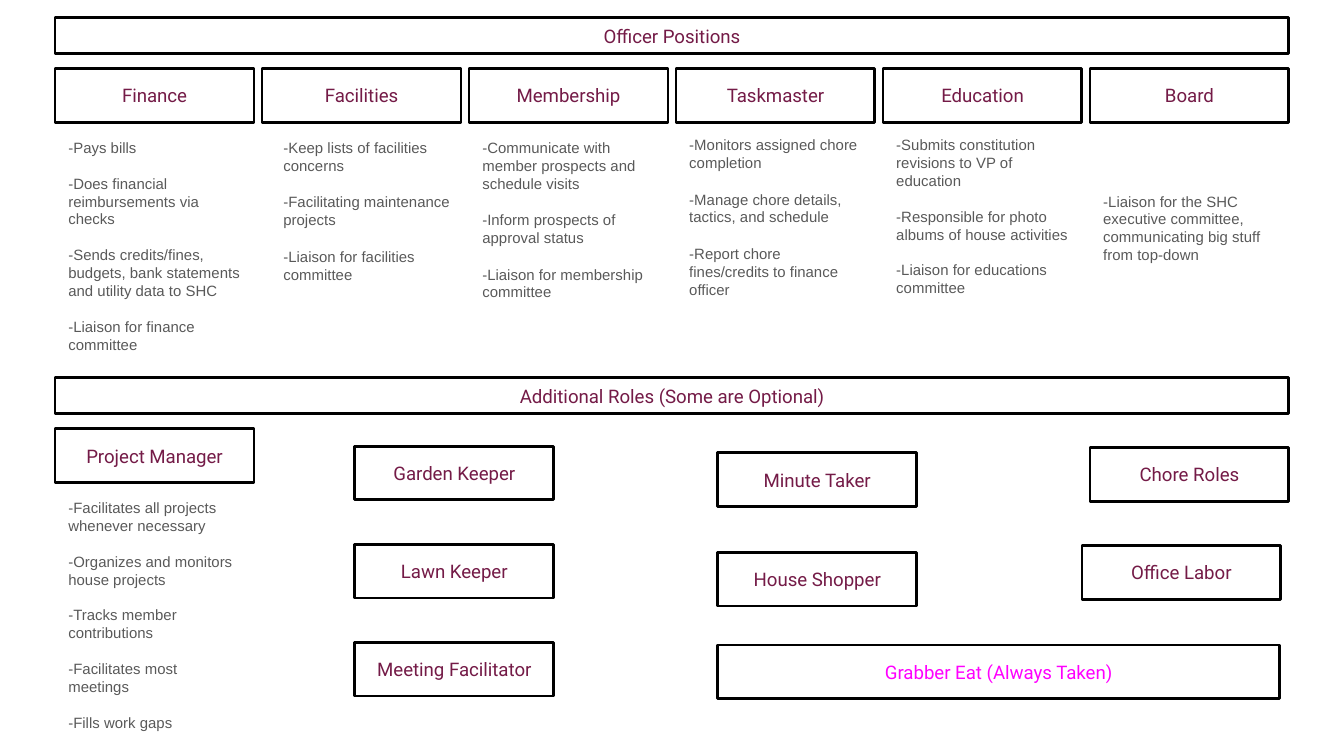
from pptx import Presentation
from pptx.dml.color import RGBColor
from pptx.enum.shapes import MSO_SHAPE
from pptx.enum.text import MSO_ANCHOR, MSO_AUTO_SIZE, PP_ALIGN
from pptx.util import Inches, Pt

RECTANGLE = MSO_SHAPE.RECTANGLE
TOP, MIDDLE = MSO_ANCHOR.TOP, MSO_ANCHOR.MIDDLE
LEFT, CENTER = PP_ALIGN.LEFT, PP_ALIGN.CENTER
NO_AUTOFIT = MSO_AUTO_SIZE.NONE

PLUM, MAGENTA, GRAY, BLACK = "741B47", "FF00FF", "595959", "000000"
SLIDE_WIDTH = Inches(10)
SLIDE_HEIGHT = SLIDE_WIDTH * 9 // 16
MARGIN, FULL_WIDTH = 0.41, 9.18
ROLE_WIDTH, ROLE_HEIGHT, BAR_HEIGHT = 1.48, 0.4, 0.27
COLUMN_STEP = 1.54
DUTIES_HEIGHT = 1.72
BLANK_LINE = 9.6

OFFICERS = ["Finance", "Facilities", "Membership", "Taskmaster", "Education", "Board"]

# Each entry: left and top offsets in its column, paragraph gap, top inset, duties
OFFICER_DUTIES = [
    (0, 0.42, BLANK_LINE, 0.1, [
        "-Pays bills",
        "-Does financial reimbursements via checks",
        "-Sends credits/fines, budgets, bank statements and utility data to SHC",
        "-Liaison for finance committee"]),
    (0.06, 0.42, 10, 0.1, [
        "-Keep lists of facilities concerns",
        "-Facilitating maintenance projects",
        "-Liaison for facilities committee"]),
    (0, 0.42, 10, 0.1, [
        "-Communicate with member prospects and schedule visits",
        "-Inform prospects of approval status",
        "-Liaison for membership committee"]),
    (0, 0.4, 10, 0.1, [
        "-Monitors assigned chore completion",
        "-Manage chore details, tactics, and schedule",
        "-Report chore fines/credits to finance officer"]),
    (0, 0.4, BLANK_LINE, 0.1, [
        "-Submits constitution revisions to VP of education",
        "-Responsible for photo albums of house activities",
        "-Liaison for educations committee"]),
    (0, 0.42, BLANK_LINE, 0.5, [
        "-Liaison for the SHC executive committee, communicating big stuff from top-down"]),
]

MANAGER_DUTIES = [
    "-Facilitates all projects whenever necessary",
    "-Organizes and monitors house projects",
    "-Tracks member contributions",
    "-Facilitates most meetings",
    "-Fills work gaps",
]

# Left and top are measured from the corner of the additional roles region
ADDITIONAL_ROLES = [
    ("Project Manager", 0, 0.38),
    ("Garden Keeper", 2.23, 0.51),
    ("Lawn Keeper", 2.23, 1.24),
    ("Meeting Facilitator", 2.23, 1.97),
    ("Minute Taker", 4.93, 0.56),
    ("House Shopper", 4.93, 1.3),
    ("Chore Roles", 7.7, 0.52),
    ("Office Labor", 7.64, 1.25),
]


def rgb(value):
    """Return the colour for a hex string."""
    return RGBColor.from_string(value)


def write(shape, lines, font, size, color, align, anchor, gap=0, top_inset=0.1):
    """Fill a shape with evenly spaced, uniformly formatted paragraphs."""
    frame = shape.text_frame
    frame.word_wrap = True
    frame.auto_size = NO_AUTOFIT
    frame.vertical_anchor = anchor
    frame.margin_left = frame.margin_right = frame.margin_bottom = Inches(0.1)
    frame.margin_top = Inches(top_inset)
    frame.text = "\n".join(lines)
    for index, paragraph in enumerate(frame.paragraphs):
        paragraph.alignment = align
        paragraph.line_spacing = 1.0
        paragraph.space_before = Pt(gap if index else 0)
        paragraph.font.name = font
        paragraph.font.size = Pt(size)
        paragraph.font.color.rgb = rgb(color)


def style_label(label, text, color=PLUM):
    """Outline a box in black and centre its label."""
    label.fill.background()
    label.line.color.rgb = rgb(BLACK)
    label.line.width = Pt(1.5)
    write(label, [text], "Roboto", 10, color, CENTER, MIDDLE)


def add_label(slide, text, left, top, width=ROLE_WIDTH, height=ROLE_HEIGHT, color=PLUM):
    """Add an outlined box with a centred label."""
    label = slide.shapes.add_shape(
        RECTANGLE, Inches(left), Inches(top), Inches(width), Inches(height))
    label.shadow.inherit = False
    style_label(label, text, color)


def add_duties(slide, duties, left, top, gap=BLANK_LINE, top_inset=0.1):
    """Add the list of duties below a role."""
    box = slide.shapes.add_textbox(
        Inches(left), Inches(top), Inches(ROLE_WIDTH), Inches(DUTIES_HEIGHT))
    write(box, duties, "Arial", 8, GRAY, LEFT, TOP, gap, top_inset)


def add_title(slide, text, left, top):
    """Turn the title placeholder into the top bar."""
    title = slide.shapes.title
    title.left, title.top = Inches(left), Inches(top)
    title.width, title.height = Inches(FULL_WIDTH), Inches(BAR_HEIGHT)
    style_label(title, text)


def add_officers(slide, left, top):
    """Place one column for each officer, with duties below."""
    for column, (officer, details) in enumerate(zip(OFFICERS, OFFICER_DUTIES)):
        x = left + column * COLUMN_STEP
        shift, drop, gap, top_inset, duties = details
        add_label(slide, officer, x, top)
        add_duties(slide, duties, x + shift, top + drop, gap, top_inset)


def add_additional_roles(slide, left, top):
    """Place the second bar and the roles under it."""
    add_label(slide, "Additional Roles (Some are Optional)", left, top,
              FULL_WIDTH, BAR_HEIGHT)
    for role, x, y in ADDITIONAL_ROLES:
        add_label(slide, role, left + x, top + y)
    add_label(slide, "Grabber Eat (Always Taken)", left + 4.93, top + 1.99,
              width=4.18, color=MAGENTA)
    add_duties(slide, MANAGER_DUTIES, left, top + 0.8)


def main():
    """Build and save the slide."""
    presentation = Presentation()
    presentation.slide_width = SLIDE_WIDTH
    presentation.slide_height = SLIDE_HEIGHT
    slide = presentation.slides.add_slide(presentation.slide_layouts[5])
    add_title(slide, "Officer Positions", MARGIN, 0.13)
    add_officers(slide, MARGIN, 0.51)
    add_additional_roles(slide, MARGIN, 2.81)
    presentation.save("out.pptx")


if __name__ == "__main__":
    main()
